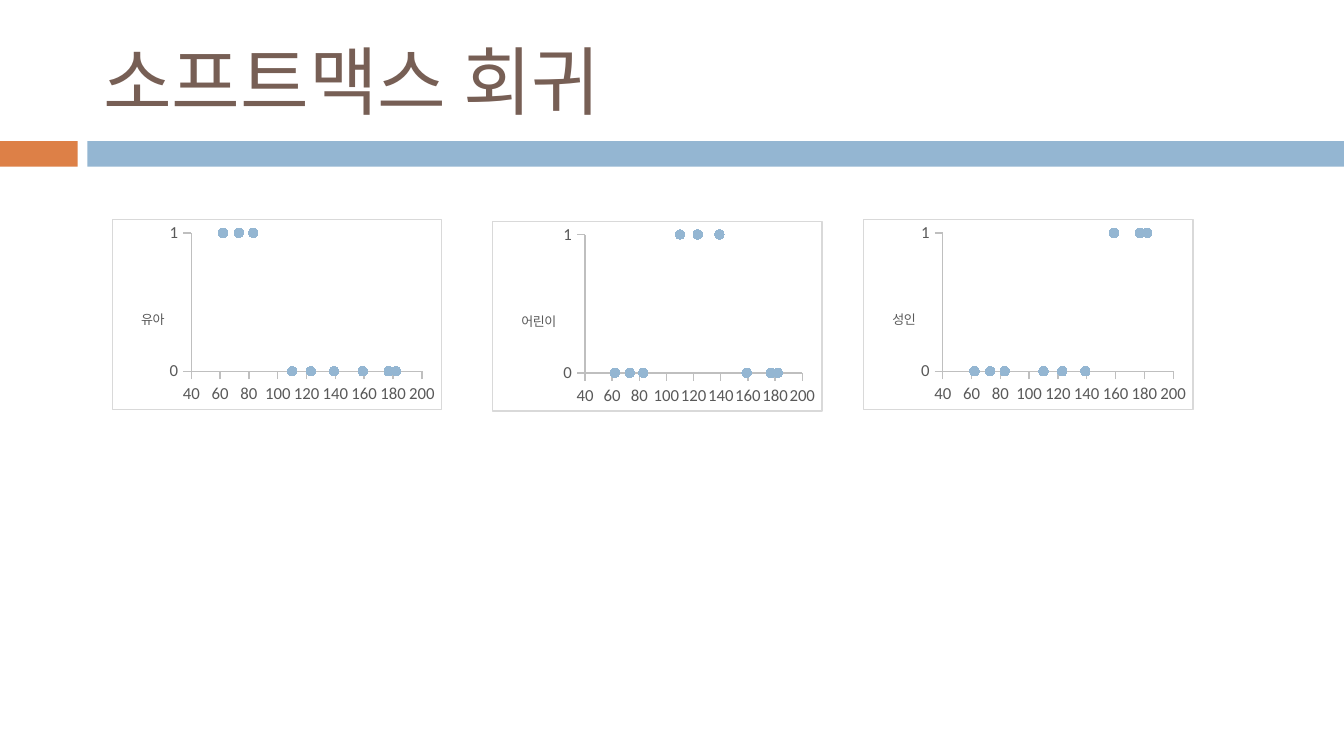
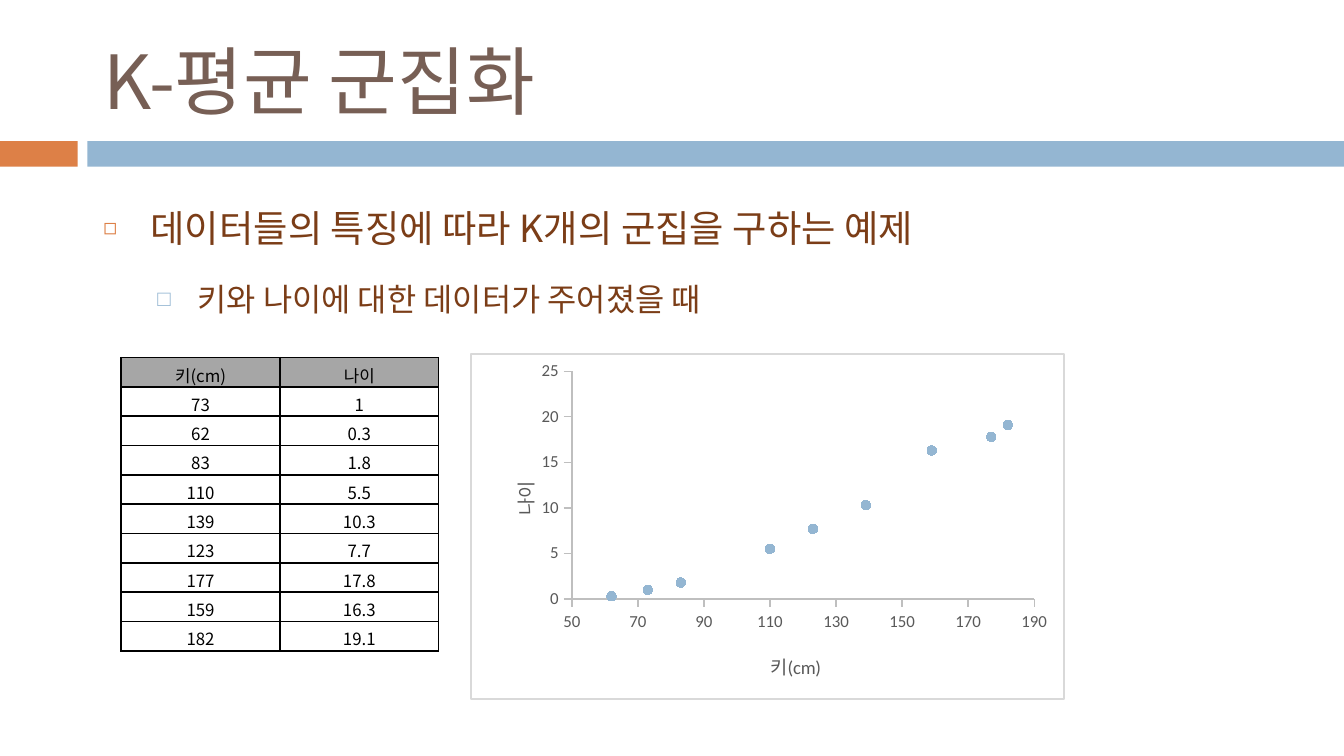
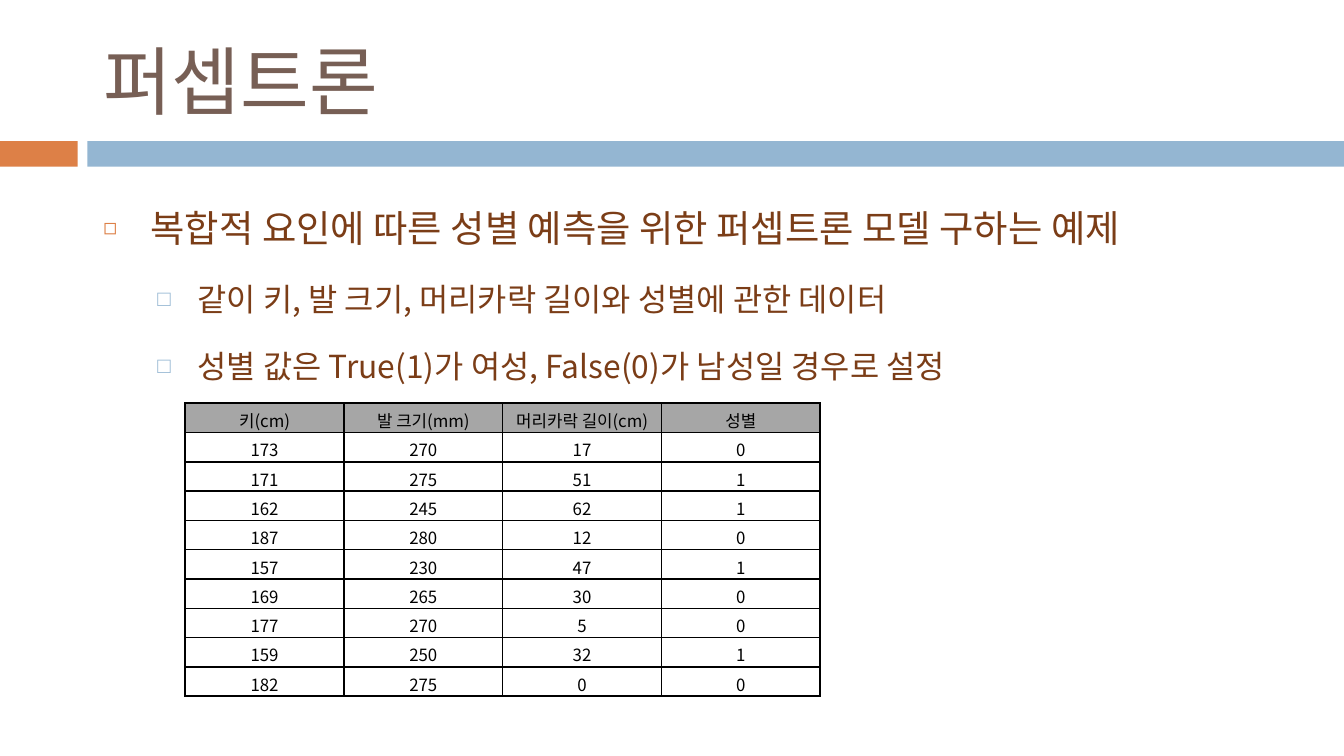
from pptx import Presentation
from pptx.chart.data import XyChartData as XyData
from pptx.dml.color import RGBColor as Rgb
from pptx.enum.chart import XL_CHART_TYPE as Kind, XL_MARKER_STYLE as Mark, XL_TICK_MARK as Tick
from pptx.enum.shapes import MSO_SHAPE as Form
from pptx.enum.text import MSO_ANCHOR as Anchor, MSO_AUTO_SIZE as Fit, PP_ALIGN as Align
from pptx.oxml import parse_xml as xml
from pptx.oxml.ns import nsdecls, qn
from pptx.util import Cm, Pt

# Shared style
FONT, PLOT = "Noto Sans CJK KR", "Calibri"
BROWN, RUST, ORANGE, BLUE = "775F55", "7B3D17", "DD8047", "94B6D2"
BLACK, WHITE, HEAD = "000000", "FFFFFF", "A6A6A6"
TEXT, AXIS, EDGE = "595959", "BFBFBF", "D9D9D9"

# List levels: size, left indent, hanging indent, space before, bullet, its colour and percent
LEVELS = [(20, 0.89, 0.89, 7, "◻", ORANGE, 60),
          (17, 1.78, 0.76, 5.5, "□", BLUE, 70)]

HEIGHTS = [73, 62, 83, 110, 139, 123, 177, 159, 182]
AGES = [1, 0.3, 1.8, 5.5, 10.3, 7.7, 17.8, 16.3, 19.1]
PEOPLE = [(173, 270, 17, 0), (171, 275, 51, 1), (162, 245, 62, 1),
          (187, 280, 12, 0), (157, 230, 47, 1), (169, 265, 30, 0),
          (177, 270, 5, 0), (159, 250, 32, 1), (182, 275, 0, 0)]


def color(code):
    return Rgb.from_string(code)


def paint(fill, code):
    fill.solid()
    fill.fore_color.rgb = color(code)


def place(node, x, y, w=None, h=None):
    """Give a chart part a fixed place, in shares of the chart."""
    old = node.find(qn("c:layout"))
    if old is not None:
        node.remove(old)
    parts = '<c:layoutTarget val="inner"/>' if w else ""
    parts += '<c:xMode val="edge"/><c:yMode val="edge"/>'
    for tag, val in zip("xywh", (x, y, w, h)):
        if val is not None:
            parts += f'<c:{tag} val="{val}"/>'
    new = xml(f'<c:layout {nsdecls("c")}><c:manualLayout>{parts}</c:manualLayout></c:layout>')
    text = node.find(qn("c:tx"))
    if text is None:
        node.insert(0, new)
    else:
        text.addnext(new)


class Deck:
    def __init__(self):
        self.prs = Presentation()
        self.prs.slide_width, self.prs.slide_height = Cm(25.4), Cm(14.29)
        self.slide = None

    def run(self, para, text, size, code, name=FONT):
        run = para.add_run()
        run.text = text
        run.font.size = Pt(size)
        run.font.bold = False
        run.font.color.rgb = color(code)
        run.font.name = name
        run.font._element.append(xml(f'<a:ea {nsdecls("a")} typeface="{FONT}"/>'))

    def page(self, title, layout):
        self.slide = self.prs.slides.add_slide(self.prs.slide_layouts[layout])
        self.band(0, 1.47, ORANGE)
        self.band(1.65, 23.75, BLUE)
        frame = self.frame(self.slide.shapes.title, 1.7, 0.48, 22.66, 2.06)
        frame.vertical_anchor = Anchor.MIDDLE
        frame.paragraphs[0].alignment = Align.LEFT
        self.run(frame.paragraphs[0], title, 40, BROWN)

    def band(self, x, w, code):
        shapes = self.slide.shapes
        bar = shapes.add_shape(Form.RECTANGLE, Cm(x), Cm(2.67), Cm(w), Cm(0.48))
        bar.shadow.inherit = False
        paint(bar.fill, code)
        bar.line.fill.background()
        shapes.element.insert(2, bar.element)  # behind the placeholders

    def frame(self, shape, x, y, w, h):
        shape.left, shape.top, shape.width, shape.height = Cm(x), Cm(y), Cm(w), Cm(h)
        shape.text_frame.auto_size = Fit.NONE
        shape.text_frame.word_wrap = True
        return shape.text_frame

    def body(self, items, w, h):
        frame = self.frame(self.slide.placeholders[1], 1.7, 3.33, w, h)
        frame.vertical_anchor = Anchor.TOP
        for num, (level, text) in enumerate(items):
            para = frame.add_paragraph() if num else frame.paragraphs[0]
            size, left, hang, gap, sign, tint, part = LEVELS[level]
            para.level = level
            para.alignment = Align.LEFT
            para.line_spacing = 1.5
            para.space_before = Pt(gap)
            props = para._p.get_or_add_pPr()
            props.set("marL", str(Cm(left)))
            props.set("indent", str(-Cm(hang)))
            for tag in (f'buClr {nsdecls("a")}><a:srgbClr val="{tint}"/></a:buClr',
                        f'buSzPct {nsdecls("a")} val="{part * 1000}"/',
                        f'buChar {nsdecls("a")} char="{sign}"/'):
                props.append(xml(f"<a:{tag}>"))
            self.run(para, text, size, RUST)

    def table(self, x, y, rows):
        wide = len(rows[0])
        item = self.slide.shapes.add_table(len(rows), wide, Cm(x), Cm(y),
                                           Cm(3 * wide), Cm(0.51 * len(rows)))
        grid = item.table
        grid.first_row = grid.horz_banding = False
        for row, vals in zip(grid.rows, rows):
            row.height = Cm(0.51)
            for cell, val in zip(row.cells, vals):
                cell.margin_left = cell.margin_right = 0
                cell.margin_top = cell.margin_bottom = 0
                cell.vertical_anchor = Anchor.MIDDLE
                if vals is rows[0]:
                    paint(cell.fill, HEAD)
                else:
                    cell.fill.background()
                para = cell.text_frame.paragraphs[0]
                para.alignment = Align.CENTER
                para.line_spacing = 1.2
                self.run(para, str(val), 9, BLACK)
        for props in item.element.iter(qn("a:tcPr")):
            for num, side in enumerate("LRTB"):
                props.insert(num, xml(
                    f'<a:ln{side} {nsdecls("a")} w="12700"><a:solidFill>'
                    f'<a:srgbClr val="{BLACK}"/></a:solidFill></a:ln{side}>'))

    def chart(self, x, y, w, h, vals, area):
        data = XyData()
        dots = data.add_series("Series 1")
        for point in zip(HEIGHTS, vals):
            dots.add_data_point(*point)
        chart = self.slide.shapes.add_chart(Kind.XY_SCATTER, Cm(x), Cm(y),
                                            Cm(w), Cm(h), data).chart
        chart.has_title = chart.has_legend = False
        chart.font.name, chart.font.size = PLOT, Pt(10)
        chart.font.color.rgb = color(BLACK)
        # Frame and plot area
        main = chart.element.find(qn("c:chart"))
        main.addnext(xml(
            f'<c:spPr {nsdecls("c", "a")}><a:solidFill><a:srgbClr val="{WHITE}"/></a:solidFill>'
            f'<a:ln w="9525"><a:solidFill><a:srgbClr val="{EDGE}"/></a:solidFill></a:ln></c:spPr>'))
        place(main.find(qn("c:plotArea")), *area)
        # Points
        chart.plots[0].vary_by_categories = False
        line = chart.plots[0].series[0]
        line.format.line.fill.background()
        line.marker.style, line.marker.size = Mark.CIRCLE, 5
        paint(line.marker.format.fill, BLUE)
        paint(line.marker.format.line.fill, BLUE)
        # Axes
        for axis in (chart.category_axis, chart.value_axis):
            axis.has_major_gridlines = False
            axis.major_tick_mark, axis.minor_tick_mark = Tick.OUTSIDE, Tick.NONE
            axis.format.line.width = Pt(0.75)
            axis.format.line.color.rgb = color(AXIS)
            font = axis.tick_labels.font
            font.name, font.size = PLOT, Pt(9)
            font.color.rgb = color(TEXT)
        return chart

    def label(self, axis, text, size, x, y, turn=0):
        title = axis.axis_title
        self.run(title.text_frame.paragraphs[0], text, size, TEXT, PLOT)
        props = title.element.find(".//" + qn("a:bodyPr"))
        props.set("rot", str(turn * 60000))
        props.set("vert", "horz")
        place(title.element, x, y)


def main():
    deck = Deck()

    # Softmax regression: one chart per age group
    deck.page("소프트맥스 회귀", 5)
    groups = [("유아", 2.11, 4.14, 0.24, 0.7), ("어린이", 9.3, 4.17, 0.28, 0.66),
              ("성인", 16.31, 4.14, 0.24, 0.7)]
    for num, (name, x, y, left, wide) in enumerate(groups):
        flags = [int(spot // 3 == num) for spot in range(len(HEIGHTS))]
        chart = deck.chart(x, y, 6.25, 3.61, flags, (left, 0.07, wide, 0.73))
        axis = chart.value_axis
        axis.minimum_scale, axis.maximum_scale, axis.major_unit = 0, 1, 1
        deck.label(axis, name, 7, 0.08, 0.46)

    # K-means clustering
    deck.page("K-평균 군집화", 1)
    deck.body([(0, "데이터들의 특징에 따라 K개의 군집을 구하는 예제"),
               (1, "키와 나이에 대한 데이터가 주어졌을 때")], 23.39, 10)
    chart = deck.chart(8.89, 6.68, 11.23, 6.55, AGES, (0.17, 0.05, 0.78, 0.66))
    chart.category_axis.minimum_scale = 50
    deck.label(chart.category_axis, "키(cm)", 10, 0.5, 0.85)
    deck.label(chart.value_axis, "나이", 10, 0.06, 0.36, -90)
    deck.table(2.29, 6.76, [("키(cm)", "나이"), *zip(HEIGHTS, AGES)])

    # Perceptron
    deck.page("퍼셉트론", 1)
    deck.body([(0, "복합적 요인에 따른 성별 예측을 위한 퍼셉트론 모델 구하는 예제"),
               (1, "같이 키, 발 크기, 머리카락 길이와 성별에 관한 데이터"),
               (1, "성별 값은 True(1)가 여성, False(0)가 남성일 경우로 설정")], 22.66, 9.37)
    deck.table(3.5, 7.62, [("키(cm)", "발 크기(mm)", "머리카락 길이(cm)", "성별"), *PEOPLE])

    deck.prs.save("out.pptx")


if __name__ == "__main__":
    main()
